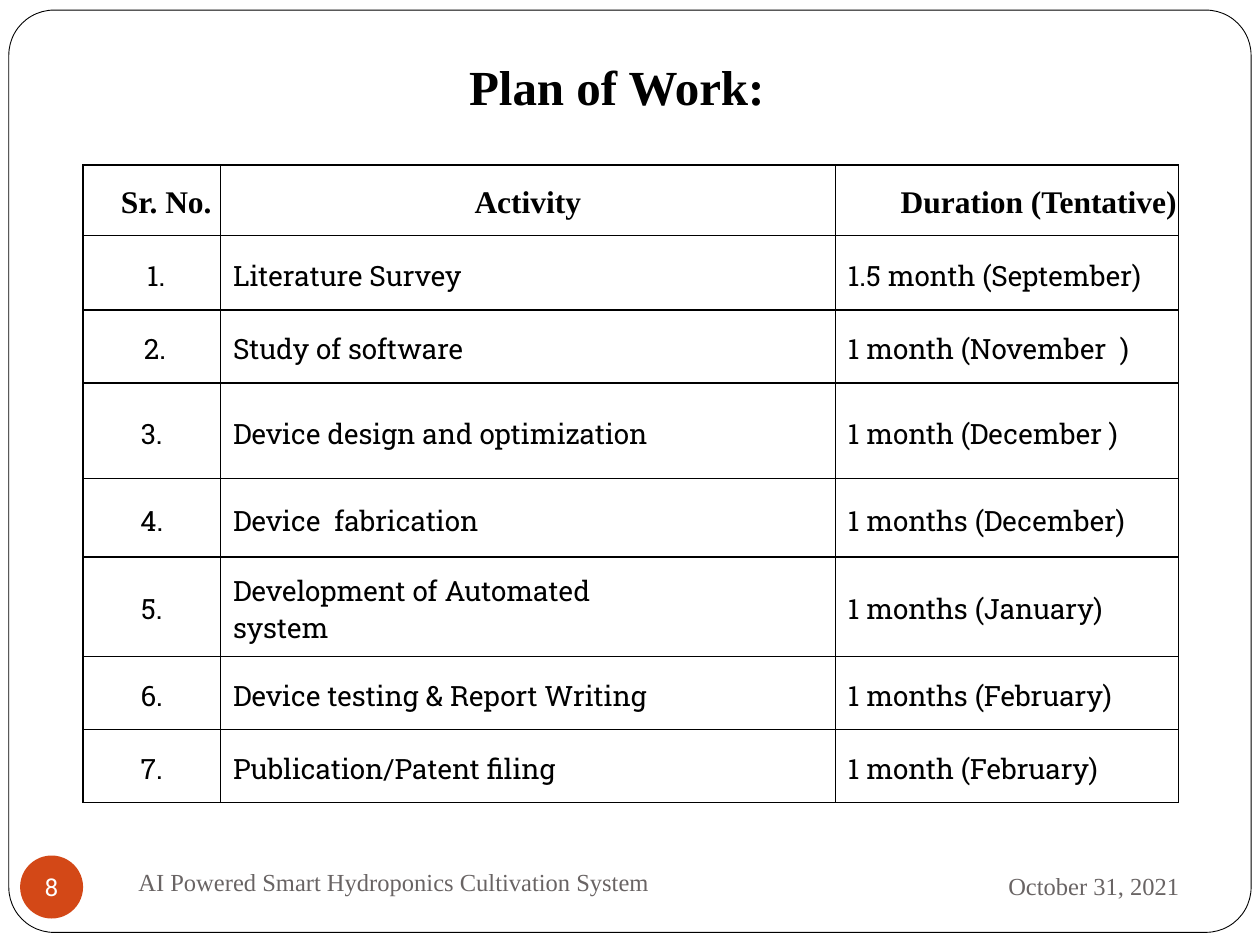
from dataclasses import dataclass

from lxml.etree import SubElement
from pptx import Presentation
from pptx.dml.color import RGBColor
from pptx.enum.shapes import MSO_SHAPE
from pptx.enum.text import MSO_ANCHOR, PP_ALIGN
from pptx.oxml.ns import qn
from pptx.util import Inches, Pt


@dataclass(frozen=True)
class Theme:
    """Colours, fonts and type sizes of the slide."""
    black: RGBColor = RGBColor(0x00, 0x00, 0x00)
    white: RGBColor = RGBColor(0xFF, 0xFF, 0xFF)
    grey: RGBColor = RGBColor(0x69, 0x64, 0x64)
    accent: RGBColor = RGBColor(0xD3, 0x48, 0x17)
    serif: str = "Times New Roman"
    slab: str = "Roboto Slab"
    sans: str = "Roboto"
    title_size: int = 28
    header_size: int = 18
    body_size: int = 16
    footer_size: int = 14


@dataclass(frozen=True)
class TextStyle:
    """Character and paragraph format of a text."""
    font: str
    size: int
    color: RGBColor
    bold: bool = False
    align: PP_ALIGN = PP_ALIGN.LEFT
    space_before: float = 0


@dataclass(frozen=True)
class Label:
    """A text box with its place in inches."""
    text: str
    left: float
    top: float
    width: float
    height: float
    style: TextStyle


@dataclass(frozen=True)
class Task:
    """One row of the work plan."""
    activity: str
    duration: str
    height: float
    number_indent: float = 0


THEME = Theme()
HEADER = TextStyle(THEME.serif, THEME.header_size, THEME.black, True, PP_ALIGN.CENTER, 3)
BODY = TextStyle(THEME.slab, THEME.body_size, THEME.black, space_before=3.1)
NUMBER = TextStyle(THEME.slab, THEME.body_size, THEME.black, False, PP_ALIGN.CENTER, 3.1)
TITLE = TextStyle(THEME.serif, THEME.title_size, THEME.black, True, PP_ALIGN.CENTER)
FOOTER = TextStyle(THEME.serif, THEME.footer_size, THEME.grey)
DATE = TextStyle(THEME.serif, THEME.footer_size, THEME.grey, align=PP_ALIGN.RIGHT)
PAGE = TextStyle(THEME.sans, THEME.footer_size, THEME.white, align=PP_ALIGN.CENTER)

LABELS = [
    Label("Plan of Work:", 3.62, 0.42, 2.55, 0.52, TITLE),
    Label("October 31, 2021", 6.75, 6.77, 2.71, 0.52, DATE),
    Label("AI Powered Smart Hydroponics Cultivation System", 1, 6.75, 4.33, 0.5, FOOTER),
]
COLUMN_WIDTHS = [1.09, 4.88, 2.72]
HEADER_HEIGHT = 0.56
HEADERS = [("Sr. No.", 0.23), ("Activity", 0), ("Duration (Tentative)", 0.51)]
TASKS = [
    Task("Literature Survey", "1.5 month (September)", 0.59, 0.07),
    Task("Study of software", "1 month (November  )", 0.58, 0.05),
    Task("Device design and optimization", "1 month (December )", 0.76),
    Task("Device\u00a0 fabrication", "1 months (December)", 0.62),
    Task("Development of Automated\nsystem", "1 months (January)", 0.79),
    Task("Device testing & Report Writing", "1 months (February)", 0.58),
    Task("Publication/Patent filing", "1 month (February)", 0.58),
]


def write(text_frame, text: str, style: TextStyle) -> None:
    """Set the text and format its paragraphs and runs."""
    text_frame.text = text
    for index, paragraph in enumerate(text_frame.paragraphs):
        paragraph.alignment = style.align
        paragraph.space_before = Pt(0 if index else style.space_before)
        for run in paragraph.runs:
            run.font.name = style.font
            run.font.size = Pt(style.size)
            run.font.bold = style.bold
            run.font.color.rgb = style.color


def clear_margins(text_frame) -> None:
    """Remove the inner margins of a text frame."""
    text_frame.margin_left = text_frame.margin_right = 0
    text_frame.margin_top = text_frame.margin_bottom = 0


def add_label(slide, label: Label) -> None:
    """Draw one text box."""
    shape = slide.shapes.add_textbox(
        Inches(label.left), Inches(label.top), Inches(label.width), Inches(label.height))
    text_frame = shape.text_frame
    text_frame.word_wrap = True
    text_frame.vertical_anchor = MSO_ANCHOR.MIDDLE
    if label.style is TITLE:
        clear_margins(text_frame)
    write(text_frame, label.text, label.style)


def add_frame(slide) -> None:
    """Draw the rounded frame around the slide."""
    frame = slide.shapes.add_shape(
        MSO_SHAPE.ROUNDED_RECTANGLE, Inches(0.07), Inches(0.08), Inches(9.86), Inches(7.32))
    frame.adjustments[0] = 0.049
    frame.shadow.inherit = False
    frame.fill.solid()
    frame.fill.fore_color.rgb = THEME.white
    frame.line.color.rgb = THEME.black
    frame.line.width = Pt(0.5)


def add_page_badge(slide) -> None:
    """Draw the round page number."""
    badge = slide.shapes.add_shape(
        MSO_SHAPE.OVAL, Inches(0.16), Inches(6.79), Inches(0.5), Inches(0.5))
    badge.shadow.inherit = False
    badge.fill.solid()
    badge.fill.fore_color.rgb = THEME.accent
    badge.line.fill.background()
    clear_margins(badge.text_frame)
    badge.text_frame.word_wrap = False
    badge.text_frame.vertical_anchor = MSO_ANCHOR.MIDDLE
    write(badge.text_frame, "8", PAGE)


def set_borders(cell, last_column: bool, last_row: bool) -> None:
    """Give a cell black borders, thinner on the right and bottom table edge."""
    properties = cell._tc.get_or_add_tcPr()
    widths = {"a:lnL": 1, "a:lnR": 0.5 if last_column else 1,
              "a:lnT": 1, "a:lnB": 0.5 if last_row else 1}
    for tag, width in widths.items():
        line = SubElement(properties, qn(tag), w=str(Pt(width)))
        fill = SubElement(line, qn("a:solidFill"))
        SubElement(fill, qn("a:srgbClr"), val=str(THEME.black))


def fill_cell(cell, text: str, indent: float, style: TextStyle) -> None:
    """Write one table cell."""
    cell.margin_left = Inches(indent)
    cell.margin_right = cell.margin_bottom = 0
    cell.margin_top = Inches(0.04)
    cell.vertical_anchor = MSO_ANCHOR.MIDDLE
    write(cell.text_frame, text, style)


def add_plan(slide) -> None:
    """Draw the table of tasks."""
    heights = [HEADER_HEIGHT] + [task.height for task in TASKS]
    table = slide.shapes.add_table(
        len(heights), len(COLUMN_WIDTHS), Inches(0.66), Inches(1.31),
        Inches(sum(COLUMN_WIDTHS)), Inches(sum(heights))).table
    table.horz_banding = False
    for column, width in zip(table.columns, COLUMN_WIDTHS):
        column.width = Inches(width)
    rows = [[(text, indent, HEADER) for text, indent in HEADERS]]
    for number, task in enumerate(TASKS, 1):
        rows.append([(f"{number}.", task.number_indent, NUMBER),
                     (task.activity, 0.1, BODY), (task.duration, 0.1, BODY)])
    for row_index, row in enumerate(rows):
        table.rows[row_index].height = Inches(heights[row_index])
        for column_index, content in enumerate(row):
            cell = table.cell(row_index, column_index)
            fill_cell(cell, *content)
            set_borders(cell, column_index == len(row) - 1, row_index == len(rows) - 1)
            cell.fill.background()


def main() -> None:
    """Build and save the slide."""
    presentation = Presentation()
    presentation.slide_width = Inches(10)
    presentation.slide_height = Inches(7.5)
    slide = presentation.slides.add_slide(presentation.slide_layouts[6])
    add_frame(slide)
    add_plan(slide)
    add_page_badge(slide)
    for label in LABELS:
        add_label(slide, label)
    presentation.save("out.pptx")


main()
